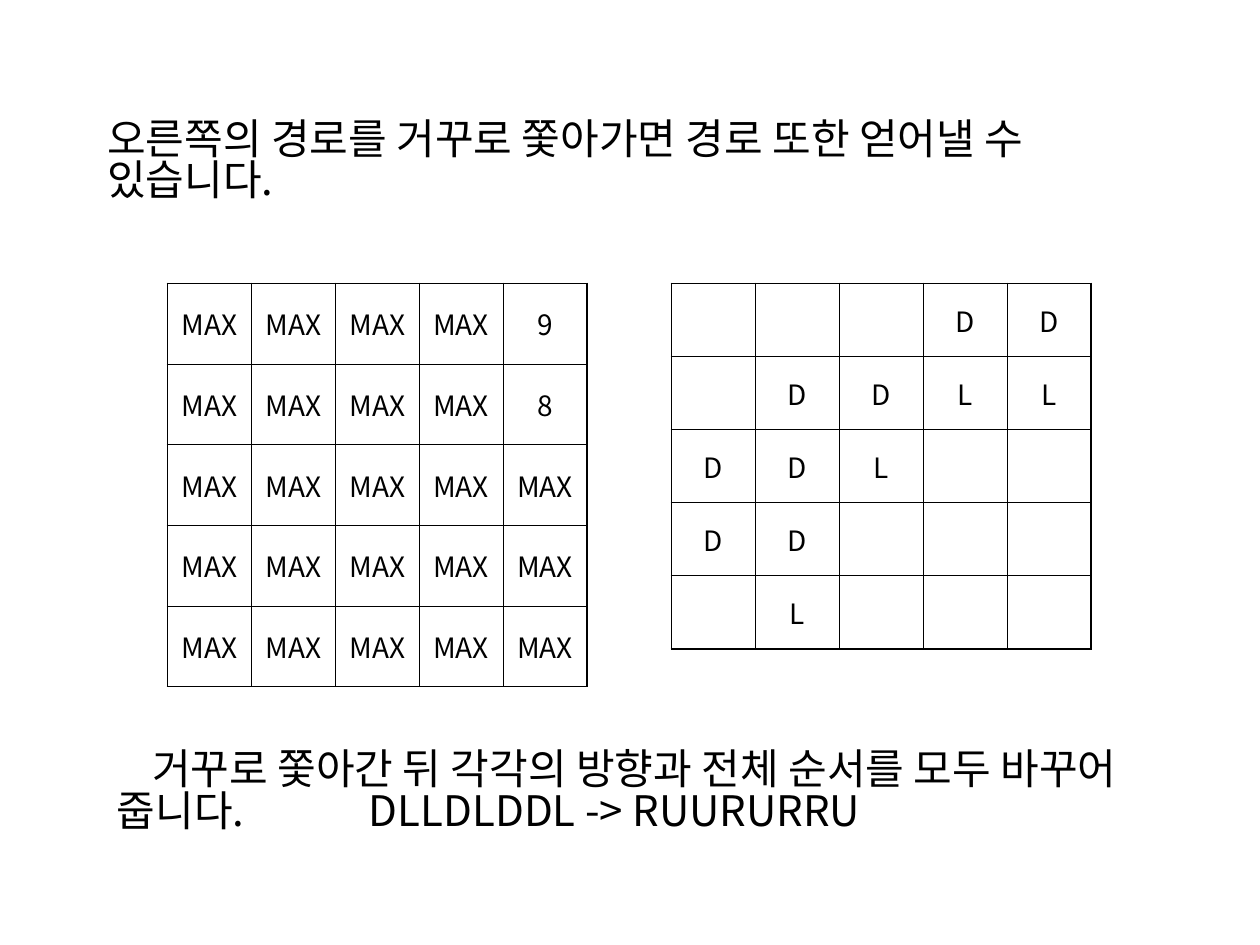
from dataclasses import dataclass
from itertools import product

from lxml.etree import SubElement
from pptx import Presentation
from pptx.dml.color import RGBColor
from pptx.enum.text import MSO_ANCHOR, MSO_AUTO_SIZE, PP_ALIGN
from pptx.oxml.ns import qn
from pptx.util import Inches, Pt


@dataclass(frozen=True)
class Theme:
    """Type, colours and line widths of the slide."""
    font: str = "Noto Sans CJK KR"
    ink: str = "000000"
    text_size: float = 24
    cell_size: float = 16
    line_spacing: float = 0.83
    outer_line: float = 1.08
    inner_line: float = 0.45


THEME = Theme()
GRID_SIZE = 5
TABLE_TOP = 2.25
TABLE_WIDTH = 3.33
TITLE = "오른쪽의 경로를 거꾸로 쫓아가면 경로 또한 얻어낼 수 있습니다."
CONCLUSION = ("거꾸로 쫓아간 뒤 각각의 방향과 전체 순서를 모두 바꾸어 줍니다."
              "\t\tDLLDLDDL -> RUURURRU")
DISTANCES = [["MAX"] * 4 + [last] for last in ("9", "8", "MAX", "MAX", "MAX")]
DIRECTIONS = ["   DD", " DDLL", "DDL  ", "DD   ", " L   "]


def set_format(target, values):
    """Set every named attribute on the target."""
    for name, value in values.items():
        setattr(target, name, value)


def write_text(frame, text, size, paragraph_format):
    """Write one formatted paragraph into a text frame."""
    para = frame.paragraphs[0]
    set_format(para, paragraph_format)
    span = para.add_run()
    span.text = text
    set_format(span.font, {"name": THEME.font, "size": Pt(size), "bold": False})
    span.font.color.rgb = RGBColor.from_string(THEME.ink)
    SubElement(span.font._element, qn("a:ea"), typeface=THEME.font)
    return para


def fill_box(box, bounds, text):
    """Place a box and write a left-aligned sentence in its middle."""
    set_format(box, dict(zip(("left", "top", "width", "height"), map(Inches, bounds))))
    set_format(box.text_frame, {
        "word_wrap": True,
        "auto_size": MSO_AUTO_SIZE.NONE,
        "vertical_anchor": MSO_ANCHOR.MIDDLE,
    })
    return write_text(box.text_frame, text, THEME.text_size, {
        "alignment": PP_ALIGN.LEFT,
        "line_spacing": THEME.line_spacing,
    })


def draw_borders(cell, row, column):
    """Draw thick lines on the grid's outside and thin lines within it."""
    last = GRID_SIZE - 1
    edges = {"L": column == 0, "R": column == last, "T": row == 0, "B": row == last}
    properties = cell._tc.get_or_add_tcPr()
    for position, (side, is_outer) in enumerate(edges.items()):
        width = THEME.outer_line if is_outer else THEME.inner_line
        line = SubElement(properties, qn(f"a:ln{side}"), w=str(Pt(width)))
        fill = SubElement(line, qn("a:solidFill"))
        SubElement(fill, qn("a:srgbClr"), val=THEME.ink)
        properties.insert(position, line)


def add_grid(page, left, row_height, values):
    """Add a square table of centred values."""
    table = page.shapes.add_table(
        GRID_SIZE, GRID_SIZE, Inches(left), Inches(TABLE_TOP),
        Inches(TABLE_WIDTH), Inches(row_height * GRID_SIZE)).table
    set_format(table, {"first_row": False, "horz_banding": False})
    for row, column in product(range(GRID_SIZE), repeat=2):
        cell = table.cell(row, column)
        cell.vertical_anchor = MSO_ANCHOR.MIDDLE
        cell.fill.background()
        draw_borders(cell, row, column)
        value = values[row][column].strip()
        if value:
            write_text(cell.text_frame, value, THEME.cell_size, {
                "alignment": PP_ALIGN.CENTER,
                "space_before": Pt(4),
            })


def main():
    """Build the slide and save it."""
    deck = Presentation()
    set_format(deck, {"slide_width": Inches(10), "slide_height": Inches(7.5)})
    page = deck.slides.add_slide(deck.slide_layouts[5])
    fill_box(page.shapes.title, (0.75, 0.75, 8.58, 1.08), TITLE)
    add_grid(page, 1.33, 0.64, DISTANCES)
    add_grid(page, 5.33, 0.58, DIRECTIONS)
    bounds = (0.83, 5.58, 8.58, 1.42)
    box = page.shapes.add_textbox(*map(Inches, bounds))
    para = fill_box(box, bounds, CONCLUSION)
    para._p.get_or_add_pPr().set("indent", str(Inches(0.28)))
    deck.save("out.pptx")


if __name__ == "__main__":
    main()
